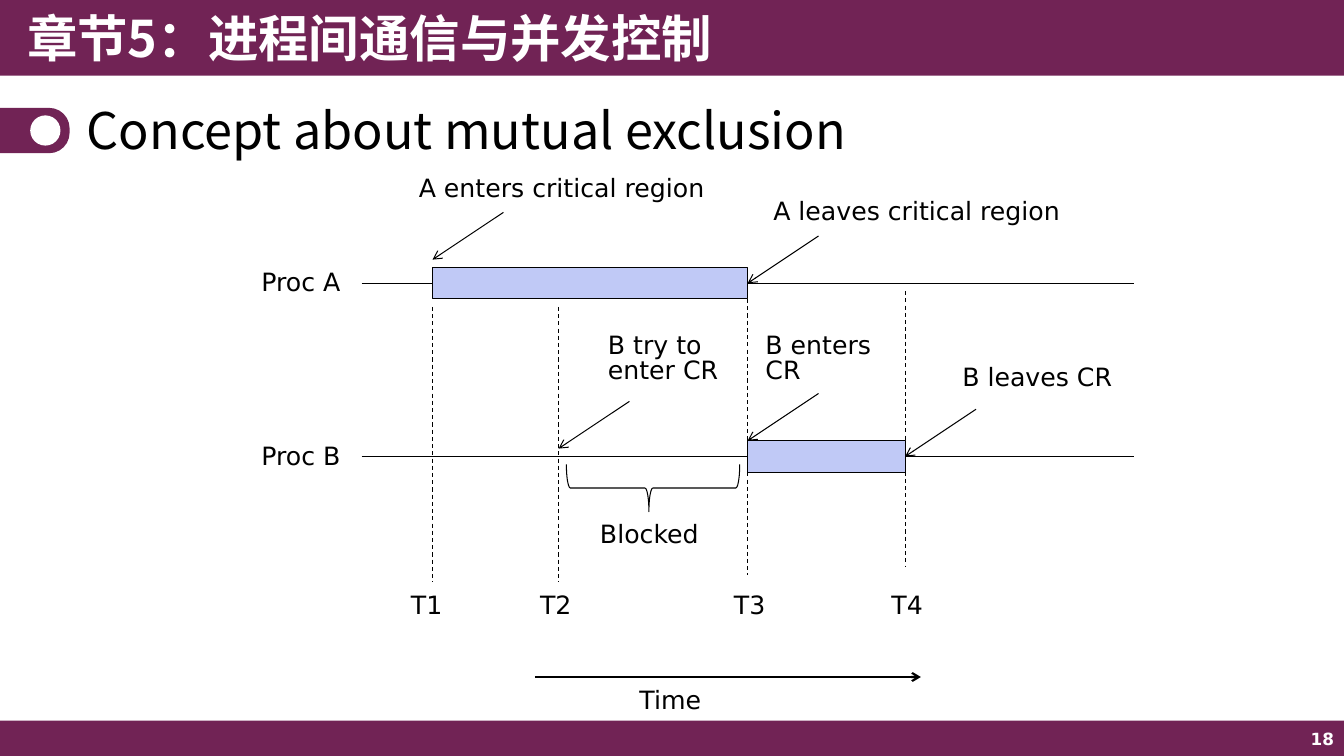
import pptx
import pptx.util
import pptx.dml.color
import pptx.enum.dml
import pptx.enum.shapes
import pptx.enum.text
import pptx.oxml.ns
import lxml.etree

COLORS = {"plum": "712355", "white": "FFFFFF", "black": "000000", "busy": "C0C9F6"}
SANS, CJK = "DejaVu Sans", "Noto Sans CJK SC"
SLIDE_W, SLIDE_H = 13.33, 7.5
UNIT = 0.15625
ORIGIN_X, ORIGIN_Y = 4.29, 2.81
PROC_A_ROW, PROC_B_ROW = 0, 11
AXIS_START, AXIS_END = -4.5, 44.5
T1, T2, T3, T4 = 0, 8, 20, 30
SHAPES = pptx.enum.shapes.MSO_SHAPE
ALIGN = pptx.enum.text.PP_ALIGN
MIDDLE = pptx.enum.text.MSO_ANCHOR.MIDDLE
TOP = pptx.enum.text.MSO_ANCHOR.TOP


def rgb(name):
    """Return the named colour."""
    return pptx.dml.color.RGBColor.from_string(COLORS[name])


def inches(*lengths):
    """Convert lengths in inches."""
    return [pptx.util.Inches(length) for length in lengths]


def at(column, row):
    """Return the place in inches of a point on the timeline grid."""
    return ORIGIN_X + column * UNIT, ORIGIN_Y + row * UNIT


def write(holder, text, size=18, font=SANS, color="black", bold=False,
          align=ALIGN.LEFT, anchor=TOP, spacing=None, wrap=True):
    """Put formatted text into a shape."""
    frame = holder.text_frame
    frame.word_wrap = wrap
    frame.auto_size = pptx.enum.text.MSO_AUTO_SIZE.NONE
    frame.vertical_anchor = anchor
    paragraph = frame.paragraphs[0]
    paragraph.alignment = align
    if spacing:
        paragraph.line_spacing = spacing
    run = paragraph.add_run()
    run.text = text
    run.font.size = pptx.util.Pt(size)
    run.font.bold = bold
    run.font.color.rgb = rgb(color)
    run.font.name = font
    east_asian = lxml.etree.SubElement(
        run.font._element, pptx.oxml.ns.qn("a:ea"))
    east_asian.set("typeface", font)


def add_text(slide, box, text, **style):
    """Add a text box to the given box."""
    write(slide.shapes.add_textbox(*inches(*box)), text, **style)


def add_label(slide, column, row, text, width=2, height=0.34, wrap=False):
    """Add a diagram label at a grid point."""
    add_text(slide, (*at(column, row), width, height), text,
             spacing=0.8, wrap=wrap)


def add_figure(slide, kind, box, fill, outlined=False):
    """Add a filled preset shape."""
    figure = slide.shapes.add_shape(kind, *inches(*box))
    figure.shadow.inherit = False
    figure.fill.solid()
    figure.fill.fore_color.rgb = rgb(fill)
    if outlined:
        figure.line.color.rgb = rgb("black")
        figure.line.width = pptx.util.Pt(0.75)
    else:
        figure.line.fill.background()
    return figure


def add_line(slide, start, end, width=0.75, dashed=False, arrow=False):
    """Join two grid points by a straight line."""
    line = slide.shapes.add_connector(
        pptx.enum.shapes.MSO_CONNECTOR.STRAIGHT,
        *inches(*at(*start), *at(*end)))
    line.line.color.rgb = rgb("black")
    line.line.width = pptx.util.Pt(width)
    if dashed:
        line.line.dash_style = pptx.enum.dml.MSO_LINE.DASH
    if arrow:
        lxml.etree.SubElement(line.line._get_or_add_ln(),
                              pptx.oxml.ns.qn("a:tailEnd"), type="arrow")
    lxml.etree.SubElement(line._element.spPr, pptx.oxml.ns.qn("a:effectLst"))
    return line


def draw_header(slide, box):
    """Draw the chapter band."""
    left, top, width, height = box
    add_figure(slide, SHAPES.RECTANGLE, box, "plum")
    add_text(slide, (left + 0.17, top, width * 0.56, height),
             "章节5：进程间通信与并发控制",
             size=36, font=CJK, color="white", bold=True, anchor=MIDDLE)


def draw_footer(slide, box):
    """Draw the bottom band with the page number."""
    left, top, width, height = box
    add_figure(slide, SHAPES.RECTANGLE, box, "plum")
    add_text(slide, (left + width - 3, top, 3, height), "18", size=12,
             color="white", bold=True, align=ALIGN.RIGHT, anchor=MIDDLE)


def draw_title(slide, box):
    """Draw the tab marker and fill the title placeholder."""
    left, top, width, height = box
    tab_w, tab_h, dot = 0.69, 0.45, 0.3
    middle = top + height / 2 - 0.025
    tab = add_figure(slide, SHAPES.ROUND_2_SAME_RECTANGLE,
                     (left + (tab_w - tab_h) / 2, middle - tab_w / 2,
                      tab_h, tab_w), "plum")
    tab.rotation = 90
    tab.adjustments[0] = 0.45
    add_figure(slide, SHAPES.OVAL,
               (left + 0.3, middle - dot / 2, dot, dot), "white")
    title = slide.shapes.title
    title.left, title.top, title.width, title.height = inches(
        left + 0.76, top, width - 1.52, height)
    write(title, "Concept about mutual exclusion", size=36, font=CJK,
          anchor=MIDDLE, spacing=0.9)


def draw_process(slide, name, row, start, end):
    """Draw one process axis and its critical region."""
    region = add_figure(slide, SHAPES.RECTANGLE,
                        (*at(start, row - 1), (end - start) * UNIT, 2 * UNIT),
                        "busy", outlined=True)
    before = add_line(slide, (AXIS_START, row), (start, row))
    before.end_connect(region, 1)
    after = add_line(slide, (end, row), (AXIS_END, row))
    after.begin_connect(region, 3)
    add_label(slide, -11.5, row - 1, name, width=1.01)
    return region


def draw_event(slide, text, label, tip, width, height=0.34, wrap=False,
               region=None):
    """Draw an event label and the arrow to its moment."""
    column, row = tip
    arrow = add_line(slide, (column + 4.5, row - 3), tip, arrow=True)
    if region is not None:
        arrow.end_connect(region, 3)
    add_label(slide, *label, text, width=width, height=height, wrap=wrap)


def draw_moments(slide):
    """Draw the dashed time marks and their names."""
    for name, column, offset, top, bottom in (
            ("T1", T1, -2, 1.5, 19), ("T2", T2, -1.8, 1.5, 19),
            ("T3", T3, -1.5, 1, 18.5), ("T4", T4, -1.5, 0.5, 18)):
        add_line(slide, (column, top), (column, bottom), dashed=True)
        add_label(slide, column + offset, 19.5, name, width=0.52)


def draw_blocked(slide, left, top, columns, rows):
    """Draw the brace over the blocked time and its label."""
    middle_x, middle_y = at(left + columns / 2, top + rows / 2)
    length, depth = columns * UNIT, rows * UNIT
    brace = add_figure(slide, SHAPES.LEFT_BRACE,
                       (middle_x - depth / 2, middle_y - length / 2,
                        depth, length), "white", outlined=True)
    brace.rotation = 270
    brace.adjustments[0], brace.adjustments[1] = 0.083, 0.476
    add_label(slide, left + 1.5, top + rows + 0.5, "Blocked", width=1.18)


def draw_timeline(slide):
    """Draw the two processes over time."""
    region_a = draw_process(slide, "Proc A", PROC_A_ROW, T1, T3)
    region_b = draw_process(slide, "Proc B", PROC_B_ROW, T3, T4)
    draw_event(slide, "A enters critical region", (-1.5, -7),
               (T1, PROC_A_ROW - 1.5), 3.07)
    draw_event(slide, "A leaves critical region", (21, -5.5),
               (T3, PROC_A_ROW), 3.07, region=region_a)
    draw_event(slide, "B try to enter CR", (10.5, 3),
               (T2, PROC_B_ROW - 0.5), 1.41, 0.59, wrap=True)
    draw_event(slide, "B enters CR", (20.5, 3),
               (T3, PROC_B_ROW - 1), 1.41, 0.59, wrap=True)
    draw_event(slide, "B leaves CR", (33, 5),
               (T4, PROC_B_ROW), 1.7, region=region_b)
    draw_moments(slide)
    draw_blocked(slide, T2 + 0.5, PROC_B_ROW + 0.5, 11, 3)
    add_line(slide, (6.5, 25), (31, 25), width=1.5, arrow=True)
    add_label(slide, 12.5, 25.5, "Time", width=0.82)


def main():
    """Build and save the slide."""
    deck = pptx.Presentation()
    deck.slide_width, deck.slide_height = inches(SLIDE_W, SLIDE_H)
    slide = deck.slides.add_slide(deck.slide_layouts[5])
    draw_header(slide, (0, 0, SLIDE_W, SLIDE_H * 0.1))
    draw_footer(slide, (0, 7.15, SLIDE_W, SLIDE_H - 7.15))
    draw_title(slide, (0, 0.95, SLIDE_W, 0.74))
    draw_timeline(slide)
    deck.save("out.pptx")


if __name__ == "__main__":
    main()
